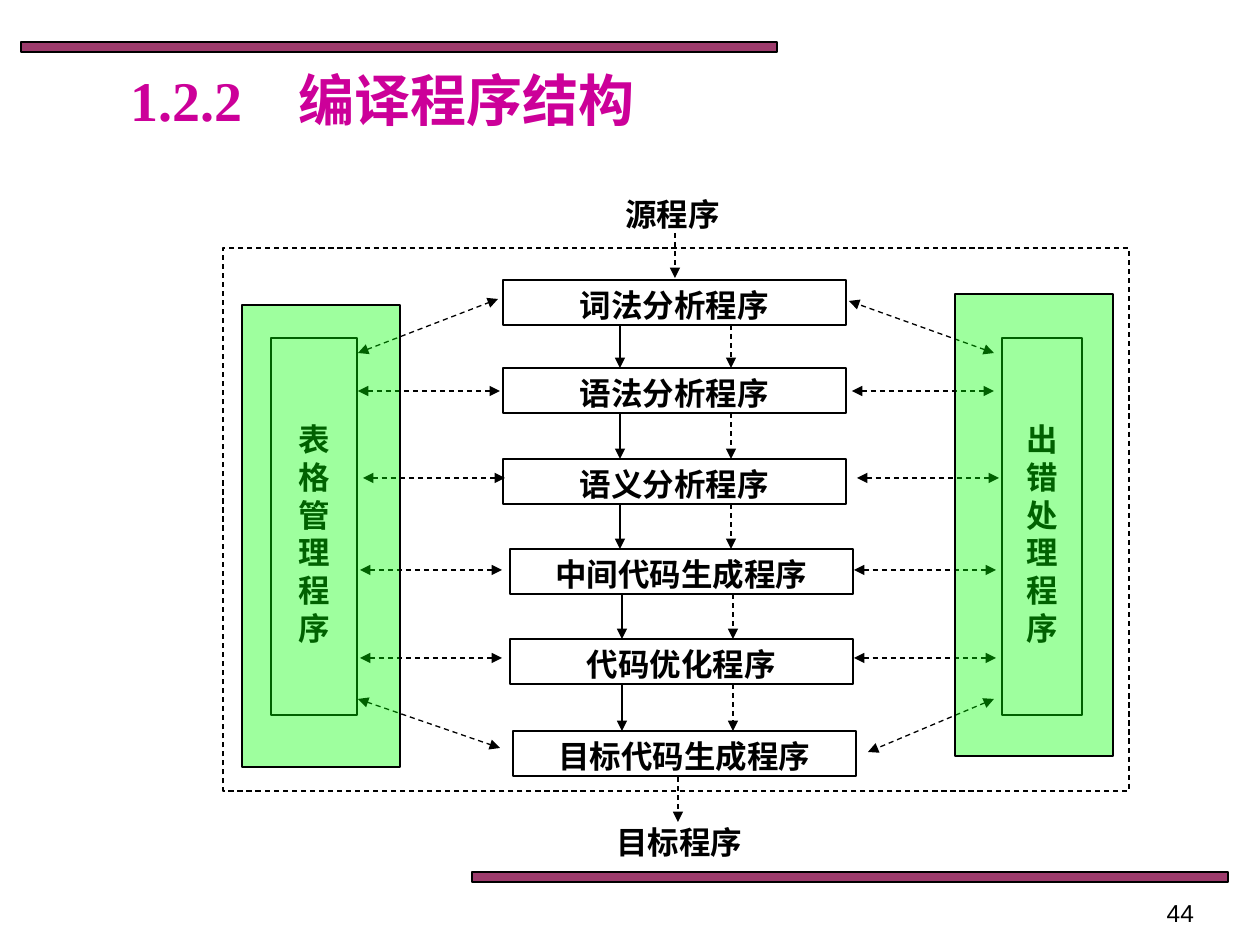
from dataclasses import dataclass

from pptx import Presentation
from pptx.dml.color import RGBColor
from pptx.enum.dml import MSO_LINE
from pptx.enum.shapes import MSO_CONNECTOR, MSO_SHAPE
from pptx.enum.text import MSO_ANCHOR, MSO_AUTO_SIZE, PP_ALIGN
from pptx.oxml.ns import qn
from pptx.util import Pt
from lxml import etree

RECT, STRAIGHT, DASH = MSO_SHAPE.RECTANGLE, MSO_CONNECTOR.STRAIGHT, MSO_LINE.DASH
LEFT, CENTER, RIGHT = PP_ALIGN.LEFT, PP_ALIGN.CENTER, PP_ALIGN.RIGHT
TOP, MIDDLE = MSO_ANCHOR.TOP, MSO_ANCHOR.MIDDLE


@dataclass(frozen=True)
class Theme:
    ink: str = "000000"
    paper: str = "FFFFFF"
    title: str = "CC0099"
    bar: str = "993366"
    panel: str = "00FF00"
    bar_alpha: int = 96
    panel_alpha: int = 38
    font: str = "Times New Roman"
    number_font: str = "Arial"
    title_size: int = 32
    label_size: int = 18
    number_size: int = 14
    line: float = 0.75


THEME = Theme()

# Content; all lengths in px, 126 to the inch
TITLE = ("1.2.2　编译程序结构", (117, 73, 597, 53))
PAGE_NUMBER = ("44", (914, 892, 293, 34))
BARS = [(21, 42, 756, 10), (472, 872, 756, 10)]
FRAME = (223, 248, 906, 543)
PANELS = [(242, 305, 158, 462), (955, 294, 158, 462)]

PHASE_SIZE = (343, 45)
PHASES = [  # text, left, top
    ("词法分析程序", 503, 280),
    ("语法分析程序", 503, 368),
    ("语义分析程序", 503, 459),
    ("中间代码生成程序", 510, 549),
    ("代码优化程序", 510, 639),
    ("目标代码生成程序", 513, 731),
]
FLOW_X = [(620, 731)] * 3 + [(622, 733)] * 2  # solid, dashed
ENDPOINTS = [("源程序", 501, 189), ("目标程序", 508, 817)]
ENDPOINT_ARROWS = [(675, 233, 675, 278), (678, 777, 678, 822)]

SIDES = [("表格管理程序", (271, 338, 86, 377)), ("出错处理程序", (1002, 338, 80, 377))]
SIDE_TEXT_TOP = 82
LEVEL_LINKS = [  # y, left link start, right link start
    (391, 358, 852), (478, 363, 857), (570, 360, 854), (658, 360, 854),
]
LEVEL_LINK_WIDTH = 142
SLANTED_LINKS = [
    (358, 353, 498, 299), (358, 699, 500, 748),
    (994, 353, 849, 301), (994, 699, 868, 752),
]

EMU_PER_PX = 914400 / 126


def emu(*lengths):
    return [round(length * EMU_PER_PX) for length in lengths]


def color(value):
    return RGBColor.from_string(value)


def write(frame, text, size, font=THEME.font, ink=THEME.ink, bold=True,
          align=CENTER, anchor=TOP, top=6):
    frame.word_wrap = True
    frame.auto_size = MSO_AUTO_SIZE.NONE
    frame.vertical_anchor = anchor
    frame.margin_left = frame.margin_right = emu(13)[0]
    frame.margin_top, frame.margin_bottom = emu(top, 6)
    paragraph = frame.paragraphs[0]
    paragraph.alignment = align
    run = paragraph.add_run()
    run.text = text
    run.font.name, run.font.size, run.font.bold = font, Pt(size), bold
    run.font.color.rgb = color(ink)


def stroke(line, dash=None):
    line.color.rgb = color(THEME.ink)
    line.width = Pt(THEME.line)
    if dash:
        line.dash_style = dash


def add_box(shapes, place, fill=None, alpha=None, dash=None):
    box = shapes.add_shape(RECT, *emu(*place))
    box.shadow.inherit = False
    if fill:
        box.fill.solid()
        box.fill.fore_color.rgb = color(fill)
    else:
        box.fill.background()
    if alpha:
        tint = box.element.spPr.find(qn("a:solidFill")).find(qn("a:srgbClr"))
        etree.SubElement(tint, qn("a:alpha")).set("val", str(alpha * 1000))
    stroke(box.line, dash)
    return box


def add_arrow(shapes, ends, dash=DASH, both=False):
    arrow = shapes.add_connector(STRAIGHT, *emu(*ends))
    stroke(arrow.line, dash)
    properties = arrow.element.spPr
    outline = properties.find(qn("a:ln"))
    for tip in ["a:headEnd", "a:tailEnd"] if both else ["a:tailEnd"]:
        etree.SubElement(outline, qn(tip)).set("type", "triangle")
    etree.SubElement(properties, qn("a:effectLst"))


def main():
    deck = Presentation()
    deck.slide_width, deck.slide_height = emu(1260, 945)
    slide = deck.slides.add_slide(deck.slide_layouts[5])

    # Title, bars and page number
    title_text, place = TITLE
    title = slide.shapes.title
    title.left, title.top, title.width, title.height = emu(*place)
    write(title.text_frame, title_text, THEME.title_size, ink=THEME.title,
          align=LEFT, anchor=MIDDLE)
    for bar in BARS:
        add_box(slide.shapes, bar, THEME.bar, THEME.bar_alpha)
    number, place = PAGE_NUMBER
    number_box = slide.shapes.add_textbox(*emu(*place))
    write(number_box.text_frame, number, THEME.number_size, THEME.number_font,
          bold=False, align=RIGHT)

    # Compiler phases, with source and target program
    diagram = slide.shapes.add_group_shape().shapes
    for text, left, top in ENDPOINTS:
        endpoint = diagram.add_textbox(*emu(left, top, *PHASE_SIZE))
        write(endpoint.text_frame, text, THEME.label_size)
    for text, left, top in PHASES:
        phase = add_box(diagram, (left, top, *PHASE_SIZE), THEME.paper)
        write(phase.text_frame, text, THEME.label_size)

    # Side programs, one character to a line
    for text, place in SIDES:
        side = add_box(diagram, place, THEME.paper)
        write(side.text_frame, text, THEME.label_size, top=SIDE_TEXT_TOP)

    # Flow from phase to phase
    for ends in ENDPOINT_ARROWS:
        add_arrow(diagram, ends)
    for upper, lower, (solid_x, dashed_x) in zip(PHASES, PHASES[1:], FLOW_X):
        start, end = upper[2] + PHASE_SIZE[1], lower[2]
        add_arrow(diagram, (solid_x, start, solid_x, end), dash=None)
        add_arrow(diagram, (dashed_x, start, dashed_x, end))

    # Links between phases and side programs
    level_links = [(x, y, x + LEVEL_LINK_WIDTH, y)
                   for y, *starts in LEVEL_LINKS for x in starts]
    for ends in level_links + SLANTED_LINKS:
        add_arrow(diagram, ends, both=True)

    # Dashed frame and translucent panels
    add_box(diagram, FRAME, dash=DASH)
    for panel in PANELS:
        add_box(slide.shapes, panel, THEME.panel, THEME.panel_alpha)

    deck.save("out.pptx")


if __name__ == "__main__":
    main()
